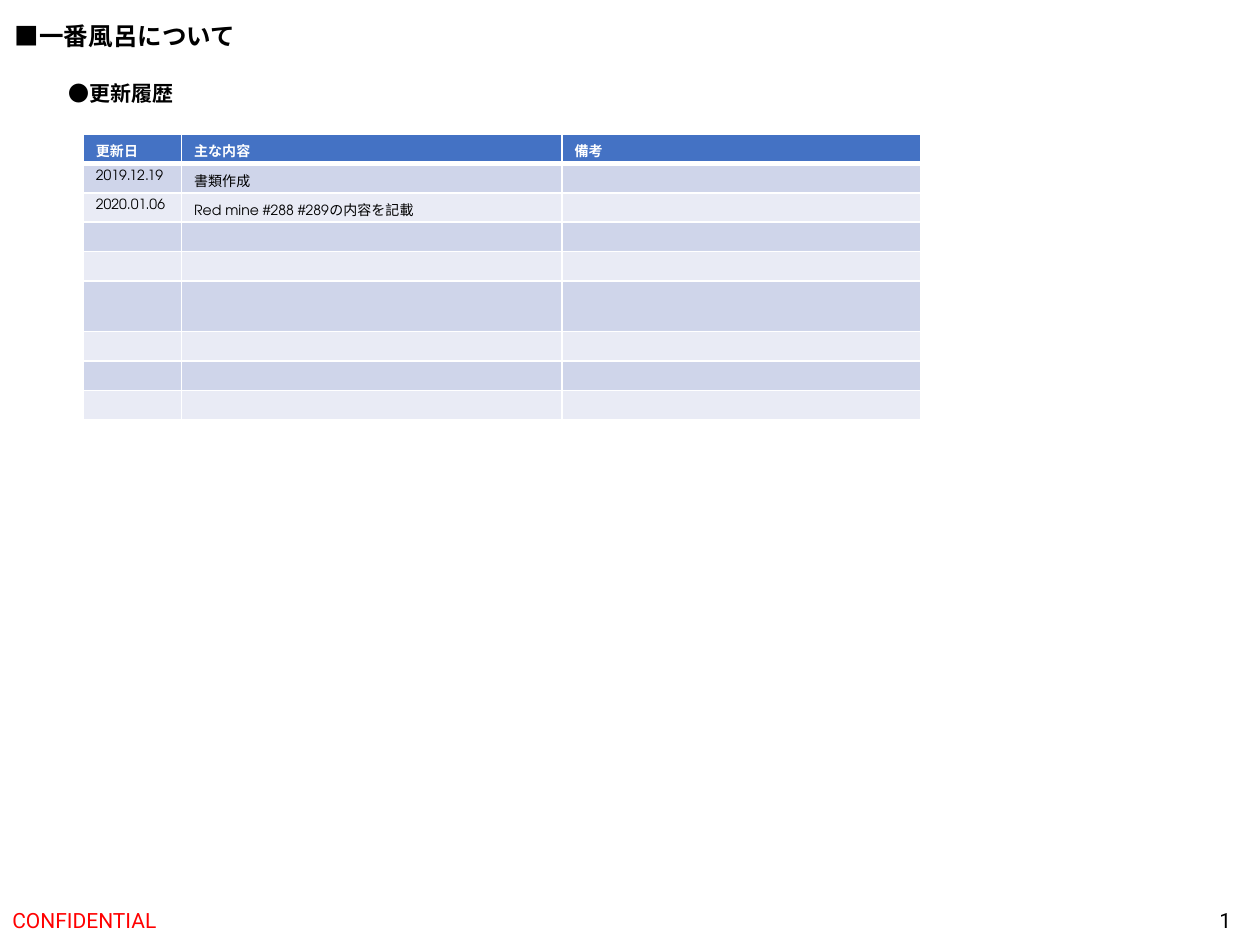
"""Build the update history slide."""
from lxml import etree
from pptx import Presentation
from pptx.dml.color import RGBColor
from pptx.enum.text import MSO_ANCHOR, MSO_AUTO_SIZE, PP_ALIGN
from pptx.oxml.ns import qn
from pptx.util import Cm, Pt

TOP, MIDDLE = MSO_ANCHOR.TOP, MSO_ANCHOR.MIDDLE
LEFT, RIGHT = PP_ALIGN.LEFT, PP_ALIGN.RIGHT
GROW, FIXED = MSO_AUTO_SIZE.SHAPE_TO_FIT_TEXT, MSO_AUTO_SIZE.NONE
TABLE_FONT = "TeX Gyre Adventor"


def set_font(r, color, **values):
    for name, value in values.items():
        setattr(r.font, name, value)
    r.font.color.rgb = RGBColor.from_string(color)


def add_border(cell, side, width):
    ln = etree.SubElement(cell._tc.get_or_add_tcPr(), qn(f"a:{side}"), w=str(Pt(width)))
    fill = etree.SubElement(ln, qn("a:solidFill"))
    etree.SubElement(fill, qn("a:srgbClr"), val="FFFFFF")


prs = Presentation()
prs.slide_width, prs.slide_height = Cm(25.4), Cm(19.05)
s = prs.slides.add_slide(prs.slide_layouts[6])

texts = [
    ("■一番風呂について", (0.05, 0.3, 5, 0.86), "000000",
     {"size": Pt(14), "name": "Arial", "bold": True},
     {"word_wrap": False, "auto_size": GROW, "vertical_anchor": TOP}, LEFT),
    ("CONFIDENTIAL", (0, 18.03, 8.59, 1.02), "FF0000",
     {"size": Pt(12), "name": "Roboto"},
     {"word_wrap": True, "auto_size": FIXED, "vertical_anchor": MIDDLE}, LEFT),
    ("1", (19.35, 18.03, 5.72, 1.02), "000000",
     {"size": Pt(12), "name": "Roboto"},
     {"word_wrap": True, "auto_size": FIXED, "vertical_anchor": MIDDLE}, RIGHT),
    ("●更新履歴", (1.14, 1.5, 2.64, 0.76), "000000",
     {"size": Pt(12), "name": TABLE_FONT, "bold": True},
     {"word_wrap": False, "auto_size": GROW, "vertical_anchor": TOP}, LEFT),
]
for text, box, color, font, frame, align in texts:
    tf = s.shapes.add_textbox(*map(Cm, box)).text_frame
    for name, value in frame.items():
        setattr(tf, name, value)
    p = tf.paragraphs[0]
    p.alignment = align
    r = p.add_run()
    r.text = text
    set_font(r, color, **font)

rows = [
    ("更新日", "主な内容", "備考"),
    ("2019.12.19", "書類作成", ""),
    ("2020.01.06", "Red mine #288 #289の内容を記載", ""),
] + [("", "", "")] * 6
widths = [1.98, 7.67, 7.24]
heights = [0.59] * 5 + [1.02] + [0.59] * 3

table = s.shapes.add_table(
    len(rows), len(widths), Cm(1.68), Cm(2.7), Cm(sum(widths)), Cm(sum(heights))
).table
for col, width in zip(table.columns, widths):
    col.width = Cm(width)
for i, (values, height) in enumerate(zip(rows, heights)):
    table.rows[i].height = Cm(height)
    header = i == 0
    band = "4472C4" if header else ("E9EBF5", "CFD5EA")[i % 2]
    for j, value in enumerate(values):
        cell = table.cell(i, j)
        for side in ("lnL", "lnR", "lnT", "lnB"):
            thick = (header and side == "lnB") or (i == 1 and side == "lnT")
            add_border(cell, side, 3 if thick else 1)
        cell.fill.solid()
        cell.fill.fore_color.rgb = RGBColor.from_string(band)
        p = cell.text_frame.paragraphs[0]
        if value:
            r = p.add_run()
            r.text = value
            set_font(r, "FFFFFF" if header else "000000",
                     size=Pt(8), name=TABLE_FONT, bold=header)
        else:
            etree.SubElement(p._p, qn("a:endParaRPr"), sz="800")

prs.save("out.pptx")
